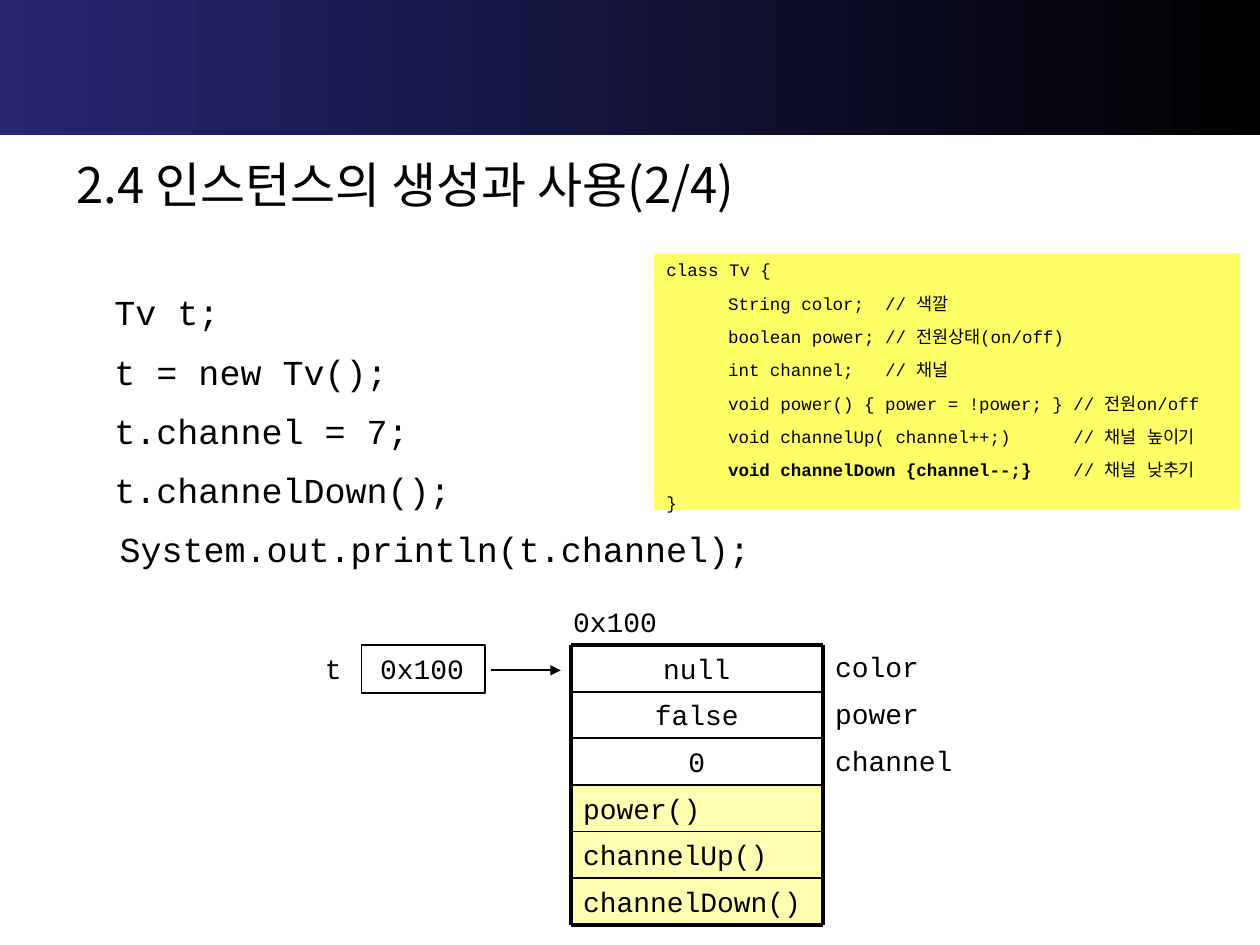
from pptx import Presentation
from pptx.dml.color import RGBColor
from pptx.enum.shapes import MSO_CONNECTOR, MSO_SHAPE
from pptx.enum.text import MSO_ANCHOR, PP_ALIGN
from pptx.oxml.ns import qn
from pptx.util import Inches, Pt
from lxml import etree

RECTANGLE = MSO_SHAPE.RECTANGLE
STRAIGHT = MSO_CONNECTOR.STRAIGHT
LEFT, CENTER = PP_ALIGN.LEFT, PP_ALIGN.CENTER
TOP = MSO_ANCHOR.TOP

MONO = "Courier New"
KOREAN = "Noto Sans CJK KR"
BLACK, NAVY, YELLOW = "000000", "262673", "FFFF66"


def color(hex_value):
    return RGBColor.from_string(hex_value)


class SlideBuilder:
    """Holds the text style and the slide that is being drawn."""

    def __init__(self, slide, font=MONO, ink=BLACK):
        self.slide = slide
        self.font = font
        self.ink = ink

    def fill_text(self, shape, text, size, align=LEFT, font=None, gap=0,
                  hanging=0, top_inset=0.05):
        """Fill a shape with lines of text; **marked** parts become bold."""
        frame = shape.text_frame
        frame.word_wrap = True
        frame.vertical_anchor = TOP
        frame.margin_top = Inches(top_inset)
        frame.text = text.replace("**", "")
        for index, line in enumerate(text.split("\n")):
            paragraph = frame.paragraphs[index]
            paragraph.text = ""
            paragraph.alignment = align
            if index and gap:
                paragraph.space_before = Pt(gap)
            if hanging:
                properties = paragraph._p.get_or_add_pPr()
                properties.set("marL", str(Inches(hanging)))
                properties.set("indent", str(-Inches(hanging)))
            for part_index, part in enumerate(line.split("**")):
                run = paragraph.add_run()
                run.text = part
                run.font.size = Pt(size)
                run.font.bold = part_index % 2 == 1
                run.font.color.rgb = color(self.ink)
                run.font.name = font or self.font
                east_asian = etree.SubElement(run._r.get_or_add_rPr(), qn("a:ea"))
                east_asian.set("typeface", font or self.font)

    def text(self, left, top, width, height, text, size, **style):
        box = self.slide.shapes.add_textbox(
            Inches(left), Inches(top), Inches(width), Inches(height))
        self.fill_text(box, text, size, **style)

    def box(self, left, top, width, height, fill=None, opacity=100, line=None):
        shape = self.slide.shapes.add_shape(
            RECTANGLE, Inches(left), Inches(top), Inches(width), Inches(height))
        shape.shadow.inherit = False
        if fill:
            shape.fill.solid()
            shape.fill.fore_color.rgb = color(fill)
        else:
            shape.fill.background()
        if opacity < 100:
            fill_color = shape._element.spPr.find(".//" + qn("a:srgbClr"))
            alpha = etree.SubElement(fill_color, qn("a:alpha"))
            alpha.set("val", str(opacity * 1000))
        if line:
            shape.line.color.rgb = color(self.ink)
            shape.line.width = Pt(line)
        else:
            shape.line.fill.background()
        return shape

    def gradient_box(self, left, top, width, height, start, end):
        shape = self.box(left, top, width, height)
        shape.fill.gradient()
        shape.fill.gradient_angle = 0
        for stop, position, value in zip(shape.fill.gradient_stops, (0, 1), (start, end)):
            stop.position = position
            stop.color.rgb = color(value)

    def line(self, x1, y1, x2, y2, width=1.0, arrow=False):
        connector = self.slide.shapes.add_connector(
            STRAIGHT, Inches(x1), Inches(y1), Inches(x2), Inches(y2))
        connector.line.color.rgb = color(self.ink)
        connector.line.width = Pt(width)
        if arrow:
            head = etree.SubElement(connector.line._get_or_add_ln(), qn("a:tailEnd"))
            head.set("type", "triangle")
        etree.SubElement(connector._element.spPr, qn("a:effectLst"))


CLASS_CODE = """class Tv {
\tString color;  // 색깔
\tboolean power; // 전원상태(on/off)
\tint channel;   // 채널
\tvoid power() { power = !power; } // 전원on/off
\tvoid channelUp( channel++;)      // 채널 높이기
\t**void channelDown {channel--;}**    // 채널 낮추기
}"""

STATEMENTS = [
    (0.81, 1.69, "Tv t;"),
    (0.81, 2.52, "t = new Tv();"),
    (0.81, 2.8, "t.channel = 7;"),
    (0.81, 3.07, "t.channelDown();"),
    (0.85, 5.59, "System.out.println(t.channel);"),
]

FIELDS = [("null", "color"), ("false", "power"), ("0", "channel")]
METHODS = ["power()", "channelUp()", "channelDown()"]


def main():
    presentation = Presentation()
    presentation.slide_width = Inches(10)
    presentation.slide_height = Inches(7.5)
    builder = SlideBuilder(presentation.slides.add_slide(presentation.slide_layouts[6]))

    # Header band and title
    builder.gradient_box(0, -0.01, 10, 1.08, NAVY, BLACK)
    builder.text(0.51, 1.23, 8.5, 0.57, "2.4 인스턴스의 생성과 사용(2/4)", 28,
                 font=KOREAN, top_inset=0)

    # Statements
    for index, (left, width, statement) in enumerate(STATEMENTS):
        builder.text(left, 2.26 + index * 0.47, width, 0.44, statement, 20)

    # Class definition
    class_box = builder.box(5.19, 2.01, 4.65, 2.04, YELLOW)
    builder.fill_text(class_box, CLASS_CODE, 10, gap=7, hanging=0.49)

    # Reference variable
    builder.box(2.87, 5.12, 0.98, 0.38, line=0.75)
    builder.text(2.48, 5.12, 0.39, 0.37, "t", 16)
    builder.text(2.81, 5.12, 1.08, 0.37, "0x100", 16, align=CENTER)
    builder.line(3.9, 5.32, 4.45, 5.32, arrow=True)

    # Instance in memory: fields, then methods
    left, top, width, row = 4.53, 5.12, 2.0, 0.37
    builder.text(4.45, 4.75, 1.02, row, "0x100", 16)
    for index, (value, name) in enumerate(FIELDS):
        y = top + index * row
        builder.text(left, y, width, row, value, 16, align=CENTER)
        builder.text(left + width, y - 0.01, 1.26, row, name, 16)
    for index, name in enumerate(METHODS, start=len(FIELDS)):
        cell = builder.box(left, top + index * row, width, row, YELLOW, opacity=50)
        builder.fill_text(cell, name, 16)

    # Instance borders
    rows = len(FIELDS) + len(METHODS)
    for index in range(rows + 1):
        y = top + index * row
        builder.line(left, y, left + width, y, 2.25 if index in (0, rows) else 1)
    for x in (left, left + width):
        builder.line(x, top, x, top + rows * row, 2.25)

    presentation.save("out.pptx")


if __name__ == "__main__":
    main()
